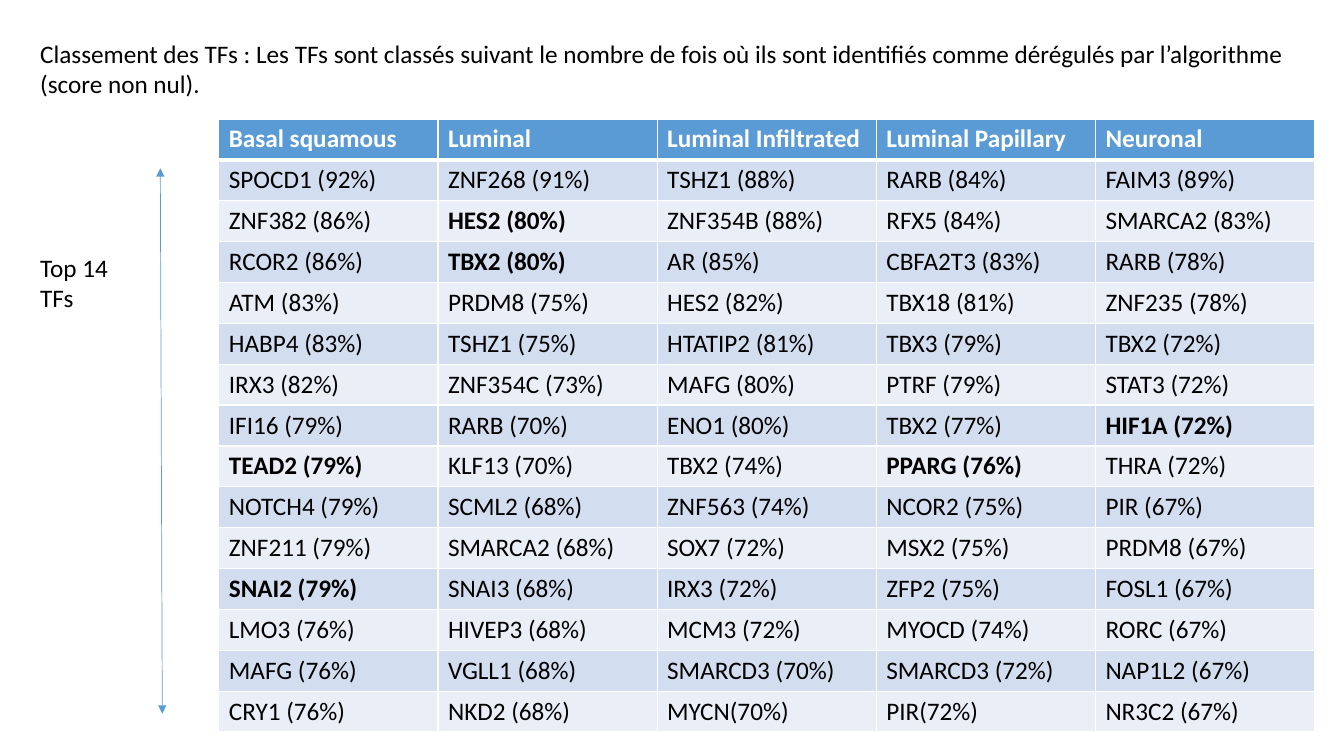
from dataclasses import dataclass

from lxml.etree import SubElement
from pptx import Presentation
from pptx.dml.color import RGBColor
from pptx.enum.shapes import MSO_CONNECTOR
from pptx.oxml.ns import qn
from pptx.slide import Slide
from pptx.table import _Cell
from pptx.text.text import TextFrame
from pptx.util import Inches, Pt

COLORS = {"head": "5B9BD5", "odd": "D2DEEF", "even": "EAEFF7",
          "white": "FFFFFF", "black": "000000"}
FONT = "Calibri"


@dataclass(frozen=True)
class Subtype:
    """A tumour subtype with its ranked factors and those in bold."""
    name: str
    ranks: str
    bold: tuple[str, ...] = ()

    def items(self) -> list[str]:
        """Return the ranked factors, best first."""
        return self.ranks.split(", ")


@dataclass(frozen=True)
class Label:
    """A text box and its place in inches."""
    text: str
    left: float
    top: float
    width: float
    height: float = 0.71


SUBTYPES = [
    Subtype("Basal squamous",
            "SPOCD1 (92%), ZNF382 (86%), RCOR2 (86%), ATM (83%), HABP4 (83%), "
            "IRX3 (82%), IFI16 (79%), TEAD2 (79%), NOTCH4 (79%), ZNF211 (79%), "
            "SNAI2 (79%), LMO3 (76%), MAFG (76%), CRY1 (76%)",
            ("TEAD2", "SNAI2")),
    Subtype("Luminal",
            "ZNF268 (91%), HES2 (80%), TBX2 (80%), PRDM8 (75%), TSHZ1 (75%), "
            "ZNF354C (73%), RARB (70%), KLF13 (70%), SCML2 (68%), SMARCA2 (68%), "
            "SNAI3 (68%), HIVEP3 (68%), VGLL1 (68%), NKD2 (68%)",
            ("HES2", "TBX2")),
    Subtype("Luminal Infiltrated",
            "TSHZ1 (88%), ZNF354B (88%), AR (85%), HES2 (82%), HTATIP2 (81%), "
            "MAFG (80%), ENO1 (80%), TBX2 (74%), ZNF563 (74%), SOX7 (72%), "
            "IRX3 (72%), MCM3 (72%), SMARCD3 (70%), MYCN(70%)"),
    Subtype("Luminal Papillary",
            "RARB (84%), RFX5 (84%), CBFA2T3 (83%), TBX18 (81%), TBX3 (79%), "
            "PTRF (79%), TBX2 (77%), PPARG (76%), NCOR2 (75%), MSX2 (75%), "
            "ZFP2 (75%), MYOCD (74%), SMARCD3 (72%), PIR(72%)",
            ("PPARG",)),
    Subtype("Neuronal",
            "FAIM3 (89%), SMARCA2 (83%), RARB (78%), ZNF235 (78%), TBX2 (72%), "
            "STAT3 (72%), HIF1A (72%), THRA (72%), PIR (67%), PRDM8 (67%), "
            "FOSL1 (67%), RORC (67%), NAP1L2 (67%), NR3C2 (67%)",
            ("HIF1A",)),
]
LABELS = [
    Label("Classement des TFs : Les TFs sont classés suivant le nombre de fois "
          "où ils sont identifiés comme dérégulés par l’algorithme "
          "(score non nul).", 0.3, 0.33, 12.61),
    Label("Top 14 TFs", 0.3, 2.45, 1.07),
]


def rgb(name: str) -> RGBColor:
    """Look up a named colour."""
    return RGBColor.from_string(COLORS[name])


def write(frame: TextFrame, text: str, *, size: float = 18,
          color: str = "black", bold: bool = False) -> None:
    """Put one formatted run into a text frame."""
    run = frame.paragraphs[0].add_run()
    run.text = text
    run.font.name, run.font.size, run.font.bold = FONT, Pt(size), bold
    run.font.color.rgb = rgb(color)


def add_label(slide: Slide, label: Label) -> None:
    """Draw a wrapped text box."""
    box = slide.shapes.add_textbox(Inches(label.left), Inches(label.top),
                                   Inches(label.width), Inches(label.height))
    box.text_frame.word_wrap = True
    write(box.text_frame, label.text)


def add_edges(cell: _Cell, row: int) -> None:
    """Give a cell white edges, thick below the header."""
    widths = {"L": 1, "R": 1, "T": 3 if row == 1 else 1, "B": 3 if row == 0 else 1}
    props = cell._tc.get_or_add_tcPr()
    for side, width in widths.items():
        edge = SubElement(props, qn(f"a:ln{side}"), w=str(Pt(width)))
        fill = SubElement(edge, qn("a:solidFill"))
        SubElement(fill, qn("a:srgbClr"), val=COLORS["white"])


def fill_cell(cell: _Cell, row: int, text: str, bold: bool) -> None:
    """Style and fill one cell of the ranking."""
    add_edges(cell, row)
    cell.fill.solid()
    cell.fill.fore_color.rgb = rgb(
        "head" if row == 0 else "odd" if row % 2 else "even")
    write(cell.text_frame, text, bold=bold, color="black" if row else "white")


def add_ranking(slide: Slide) -> None:
    """Draw the table with one column per subtype."""
    count = len(SUBTYPES[0].items()) + 1
    table = slide.shapes.add_table(count, len(SUBTYPES), Inches(2.17), Inches(1.18),
                                   Inches(10.87), Inches(6.08)).table
    for col, subtype in enumerate(SUBTYPES):
        for row, text in enumerate([subtype.name, *subtype.items()]):
            bold = row == 0 or text.split(" ")[0] in subtype.bold
            fill_cell(table.cell(row, col), row, text, bold)


def add_arrow(slide: Slide) -> None:
    """Draw the two-headed arrow beside the ranked rows."""
    arrow = slide.shapes.add_connector(MSO_CONNECTOR.STRAIGHT, Inches(1.59),
                                       Inches(1.67), Inches(1.61), Inches(7.08))
    arrow.line.width = Pt(0.5)
    arrow.line.color.rgb = rgb("head")
    for end in ("headEnd", "tailEnd"):
        SubElement(arrow.line._get_or_add_ln(), qn(f"a:{end}"), type="triangle")
    SubElement(arrow._element.spPr, qn("a:effectLst"))


def main() -> None:
    """Build and save the slide."""
    deck = Presentation()
    deck.slide_width, deck.slide_height = Inches(13.33), Inches(7.5)
    slide = deck.slides.add_slide(deck.slide_layouts[6])
    add_ranking(slide)
    add_arrow(slide)
    for label in LABELS:
        add_label(slide, label)
    deck.save("out.pptx")


main()
